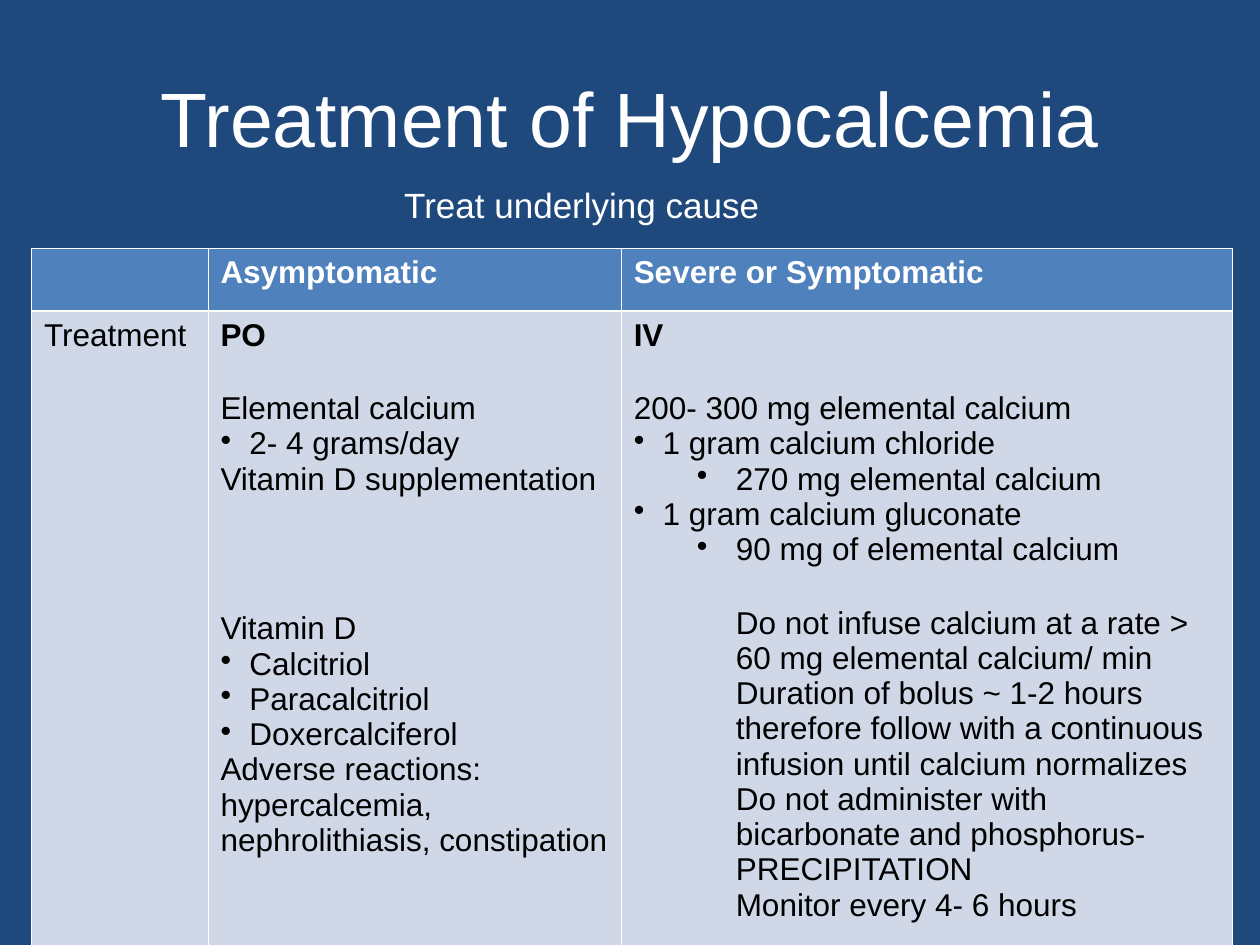
from lxml import etree
from pptx import Presentation, util as u
from pptx.dml.color import RGBColor
from pptx.enum import text as t
from pptx.oxml import ns

COLORS = {"background": "1F497D", "header": "4F81BD", "body": "D0D8E8",
          "light": "FFFFFF", "dark": "000000"}
FONT = "Arial"
SLIDE_W, SLIDE_H = 10, 7.5

# Content: each line is (text, format)
TITLE = "Treatment of Hypocalcemia"
SUBTITLE = "Treat underlying cause"
HEADINGS = ["", "Asymptomatic", "Severe or Symptomatic"]
BLANK_LINE = 21.8  # gap of one empty line, in points
BOLD = {"bold": True}
ITEM = {"bullet": True, "left": 0.23, "hang": 0.23}
SUBITEM = {"bullet": True, "left": 0.81, "hang": 0.31, "level": 1}
NOTE = {"left": 0.81}
TREATMENTS = [
    [("Treatment", {})],
    [("PO", BOLD),
     ("Elemental calcium", {"before": BLANK_LINE}),
     ("2- 4 grams/day", ITEM),
     ("Vitamin D supplementation", {}),
     ("Vitamin D", {"before": 3 * BLANK_LINE}),
     ("Calcitriol", ITEM),
     ("Paracalcitriol", ITEM),
     ("Doxercalciferol", ITEM),
     ("Adverse reactions: hypercalcemia, nephrolithiasis, constipation", {})],
    [("IV", BOLD),
     ("200- 300 mg elemental calcium", {"before": BLANK_LINE}),
     ("1 gram calcium chloride", ITEM),
     ("270 mg elemental calcium", SUBITEM),
     ("1 gram calcium gluconate", ITEM),
     ("90 mg of elemental calcium", SUBITEM),
     ("Do not infuse calcium at a rate > 60 mg elemental calcium/ min",
      {**NOTE, "before": BLANK_LINE}),
     ("Duration of bolus ~ 1-2 hours therefore follow with a continuous "
      "infusion until calcium normalizes", NOTE),
     ("Do not administer with bicarbonate and phosphorus- PRECIPITATION", NOTE),
     ("Monitor every 4- 6 hours", NOTE)],
]
COLUMNS = [1.4, 3.28, 4.85]
ROWS = [0.5, 4.9]
TABLE_LEFT, TABLE_TOP = 0.25, 1.97
THIN, THICK = 0.45, 1.47


def rgb(name):
    return RGBColor.from_string(COLORS[name])


def write(paragraph, words, size=18, color="dark", bold=False, align=None,
          before=0, left=0, hang=0, bullet=False, level=0):
    paragraph.level = level
    paragraph.alignment = align
    paragraph.space_before = u.Pt(before)
    props = paragraph._p.get_or_add_pPr()
    props.set("marL", str(u.Inches(left)))
    props.set("indent", str(-u.Inches(hang)))
    if bullet:
        etree.SubElement(props, ns.qn("a:buChar")).set("char", "•")
    run = paragraph.add_run()
    run.text = words
    font = run.font
    font.name, font.size, font.bold = FONT, u.Pt(size), bold
    font.color.rgb = rgb(color)


def add_text(slide, words, left, top, width, height, wrap=True,
             anchor=t.MSO_ANCHOR.TOP, **fmt):
    frame = slide.shapes.add_textbox(
        *map(u.Inches, (left, top, width, height))).text_frame
    frame.word_wrap = wrap
    frame.vertical_anchor = anchor
    write(frame.paragraphs[0], words, color="light", **fmt)


def fill_cell(cell, lines, fill, top_line, bottom_line, **fmt):
    props = cell._tc.get_or_add_tcPr()
    for side, width in zip("LRTB", (THIN, THIN, top_line, bottom_line)):
        line = etree.SubElement(props, ns.qn("a:ln" + side))
        line.set("w", str(u.Pt(width)))
        solid = etree.SubElement(line, ns.qn("a:solidFill"))
        etree.SubElement(solid, ns.qn("a:srgbClr")).set("val", COLORS["light"])
    cell.fill.solid()
    cell.fill.fore_color.rgb = rgb(fill)
    frame = cell.text_frame
    for i, (words, line_fmt) in enumerate(lines):
        paragraph = frame.add_paragraph() if i else frame.paragraphs[0]
        write(paragraph, words, **{**fmt, **line_fmt})


def add_treatment_table(slide):
    table = slide.shapes.add_table(
        len(ROWS), len(COLUMNS), u.Inches(TABLE_LEFT), u.Inches(TABLE_TOP),
        u.Inches(sum(COLUMNS)), u.Inches(sum(ROWS))).table
    table.horz_banding = False
    for row, height in zip(table.rows, ROWS):
        row.height = u.Inches(height)
    for c, width in enumerate(COLUMNS):
        table.columns[c].width = u.Inches(width)
        heading = [(HEADINGS[c], BOLD)] if HEADINGS[c] else []
        fill_cell(table.cell(0, c), heading, "header", THIN, THICK, color="light")
        fill_cell(table.cell(1, c), TREATMENTS[c], "body", THICK, THIN)


def main():
    deck = Presentation()
    deck.slide_width, deck.slide_height = u.Inches(SLIDE_W), u.Inches(SLIDE_H)
    slide = deck.slides.add_slide(deck.slide_layouts[6])
    slide.background.fill.solid()
    slide.background.fill.fore_color.rgb = rgb("background")

    # Title, table and the line between them
    add_text(slide, TITLE, 0.05 * SLIDE_W, 0.04 * SLIDE_H, 0.9 * SLIDE_W, 1.25,
             anchor=t.MSO_ANCHOR.MIDDLE, size=44, align=t.PP_ALIGN.CENTER)
    add_treatment_table(slide)
    add_text(slide, SUBTITLE, 3.11, 1.41, 3.16, 0.44, wrap=False, size=20,
             align=t.PP_ALIGN.LEFT)
    deck.save("out.pptx")


if __name__ == "__main__":
    main()
